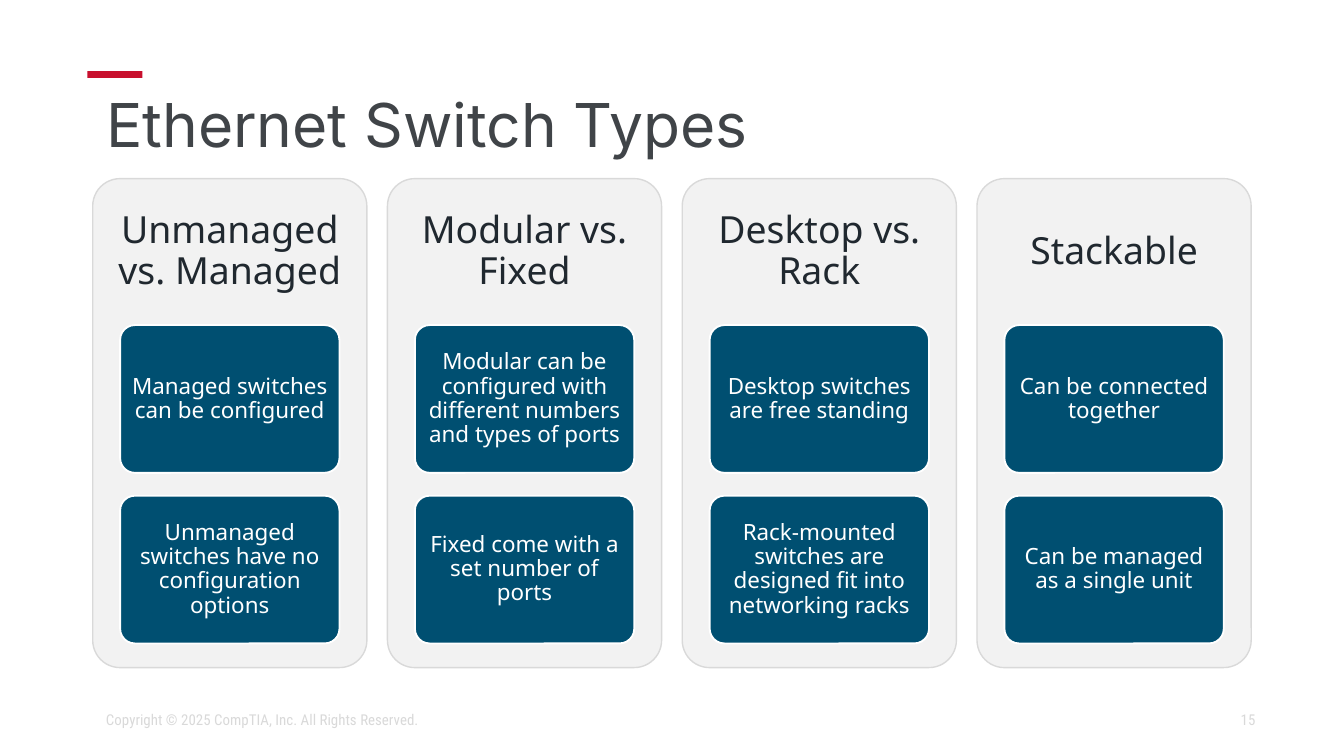
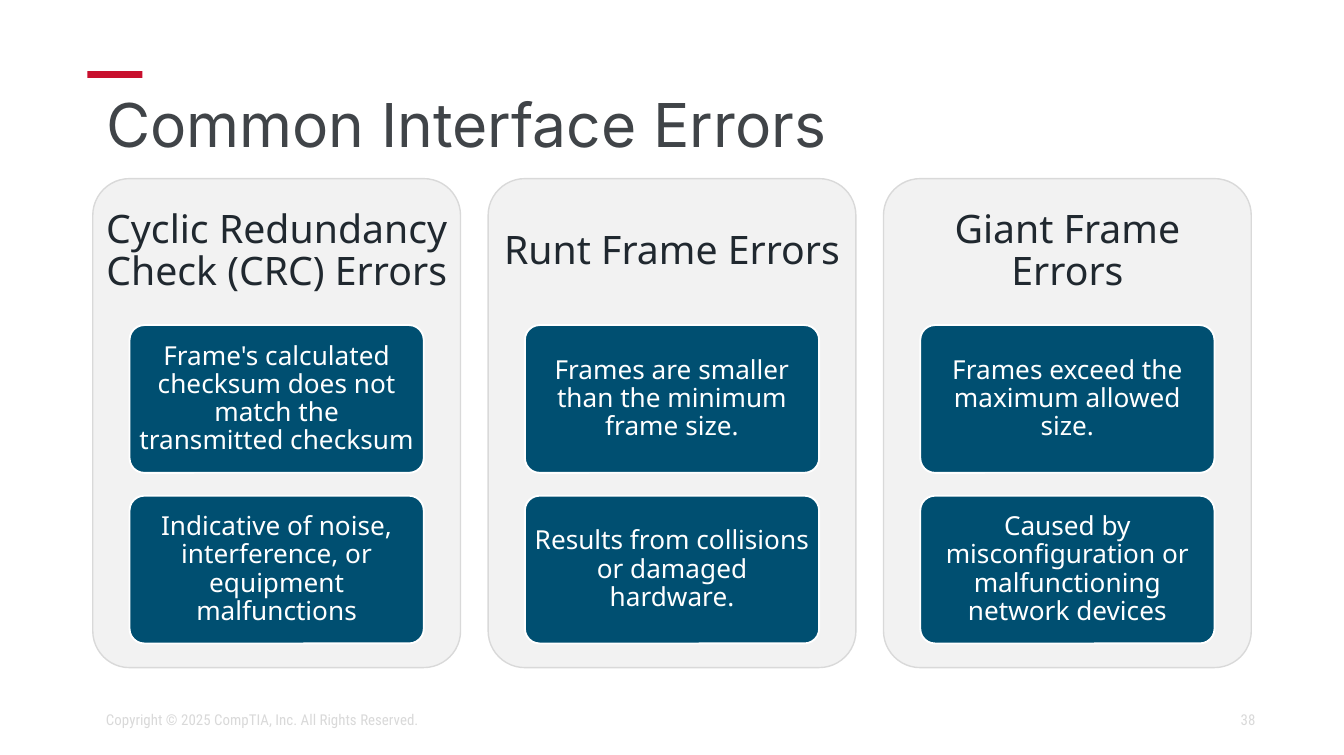
from dataclasses import dataclass

from pptx import Presentation
from pptx.dml.color import RGBColor
from pptx.enum.shapes import MSO_SHAPE
from pptx.enum.text import MSO_ANCHOR, MSO_AUTO_SIZE, PP_ALIGN
from pptx.shapes.autoshape import Shape
from pptx.slide import Slide
from pptx.util import Inches, Pt

RECTANGLE, ROUNDED = MSO_SHAPE.RECTANGLE, MSO_SHAPE.ROUNDED_RECTANGLE
LEFT, CENTER, RIGHT = PP_ALIGN.LEFT, PP_ALIGN.CENTER, PP_ALIGN.RIGHT
MIDDLE = MSO_ANCHOR.MIDDLE
NO_AUTOFIT = MSO_AUTO_SIZE.NONE

COLORS = {
    "accent": "C8102E",
    "title": "404448",
    "footer": "D9D9D9",
    "panel": "F2F2F2",
    "panel_line": "D9D9D9",
    "heading": "20282F",
    "card": "004F71",
    "white": "FFFFFF",
}
TITLE_FONT, BODY_FONT, FOOTER_FONT = "Inter", "Noto Sans", "Roboto Condensed"
COPYRIGHT = "Copyright © 2025 CompTIA, Inc. All Rights Reserved."
TITLE_ONLY = 5

# Lengths in inches
CONTENT_LEFT, CONTENT_WIDTH = 0.69, 8.62
PANEL_TOP, PANEL_HEIGHT, HEADING_HEIGHT = 1.33, 3.64, 1.09
CARD_TOP, CARD_HEIGHT, CARD_PITCH = 2.42, 1.1, 1.27
GAP_RATIO = 0.075  # gap between panels, as a share of panel width
CARD_RATIO = 0.8  # card width, as a share of panel width
CORNER = 0.1


@dataclass(frozen=True)
class Box:
    left: float
    top: float
    width: float
    height: float

    def lengths(self) -> tuple[Inches, Inches, Inches, Inches]:
        return (Inches(self.left), Inches(self.top),
                Inches(self.width), Inches(self.height))


@dataclass(frozen=True)
class TextStyle:
    font: str
    size: float
    color: str
    align: PP_ALIGN = LEFT
    line_spacing: float = 1.0
    inset_x: float = 0.1
    inset_y: float = 0.05


@dataclass(frozen=True)
class Topic:
    heading: str
    cards: tuple[str, ...]


@dataclass(frozen=True)
class TopicSlide:
    title: str
    number: int
    heading_style: TextStyle
    card_style: TextStyle
    topics: tuple[Topic, ...]


TITLE_STYLE = TextStyle(TITLE_FONT, 32.4, "title", line_spacing=0.9)
COPYRIGHT_STYLE = TextStyle(FOOTER_FONT, 8, "footer")
NUMBER_STYLE = TextStyle(FOOTER_FONT, 8, "footer", RIGHT)

SLIDES = (
    TopicSlide(
        "Ethernet Switch Types", 15,
        TextStyle(BODY_FONT, 20, "heading", CENTER, 0.9, 0.08, 0.08),
        TextStyle(BODY_FONT, 12, "white", CENTER, 0.9, 0.03, 0.03),
        (
            Topic("Unmanaged vs. Managed", (
                "Managed switches can be configured",
                "Unmanaged switches have no configuration options")),
            Topic("Modular vs. Fixed", (
                "Modular can be configured with different numbers and types of ports",
                "Fixed come with a set number of ports")),
            Topic("Desktop vs. Rack", (
                "Desktop switches are free standing",
                "Rack-mounted switches are designed fit into networking racks")),
            Topic("Stackable", (
                "Can be connected together",
                "Can be managed as a single unit")),
        ),
    ),
    TopicSlide(
        "Common Interface Errors", 38,
        TextStyle(BODY_FONT, 21, "heading", CENTER, 0.9, 0.09, 0.09),
        TextStyle(BODY_FONT, 14, "white", CENTER, 0.9, 0.04, 0.03),
        (
            Topic("Cyclic Redundancy Check (CRC) Errors", (
                "Frame's calculated checksum does not match the transmitted checksum",
                "Indicative of noise, interference, or equipment malfunctions")),
            Topic("Runt Frame Errors", (
                "Frames are smaller than the minimum frame size.",
                "Results from collisions or damaged hardware.")),
            Topic("Giant Frame Errors", (
                "Frames exceed the maximum allowed size.",
                "Caused by misconfiguration or malfunctioning network devices")),
        ),
    ),
)


def rgb(name: str) -> RGBColor:
    return RGBColor.from_string(COLORS[name])


def write(shape: Shape, text: str, style: TextStyle) -> None:
    frame = shape.text_frame
    frame.text = text
    frame.word_wrap = True
    frame.auto_size = NO_AUTOFIT
    frame.vertical_anchor = MIDDLE
    frame.margin_left = frame.margin_right = Inches(style.inset_x)
    frame.margin_top = frame.margin_bottom = Inches(style.inset_y)
    paragraph = frame.paragraphs[0]
    paragraph.alignment = style.align
    paragraph.line_spacing = style.line_spacing
    paragraph.font.name = style.font
    paragraph.font.size = Pt(style.size)
    paragraph.font.color.rgb = rgb(style.color)


def add_text(slide: Slide, box: Box, text: str, style: TextStyle) -> None:
    write(slide.shapes.add_textbox(*box.lengths()), text, style)


def add_filled(slide: Slide, kind: MSO_SHAPE, box: Box, fill: str) -> Shape:
    shape = slide.shapes.add_shape(kind, *box.lengths())
    shape.shadow.inherit = False
    shape.fill.solid()
    shape.fill.fore_color.rgb = rgb(fill)
    shape.line.fill.background()
    return shape


def add_rounded(slide: Slide, box: Box, fill: str, line: str, weight: float) -> Shape:
    shape = add_filled(slide, ROUNDED, box, fill)
    shape.adjustments[0] = CORNER
    shape.line.color.rgb = rgb(line)
    shape.line.width = Pt(weight)
    return shape


def add_frame(slide: Slide, content: TopicSlide) -> None:
    """Draw the accent bar, title and footer that all slides share."""
    add_filled(slide, RECTANGLE, Box(0.65, 0.53, 0.41, 0.05), "accent")
    title = slide.shapes.title
    title.left, title.top, title.width, title.height = Box(
        CONTENT_LEFT, 0.64, CONTENT_WIDTH, 0.63).lengths()
    write(title, content.title, TITLE_STYLE)
    add_text(slide, Box(7.06, 5.21, 2.38, 0.3), str(content.number), NUMBER_STYLE)
    add_text(slide, Box(CONTENT_LEFT, 5.21, 4.31, 0.3), COPYRIGHT, COPYRIGHT_STYLE)


def add_topics(slide: Slide, content: TopicSlide) -> None:
    count = len(content.topics)
    width = CONTENT_WIDTH / (count + GAP_RATIO * (count - 1))
    card_width = width * CARD_RATIO
    for column, topic in enumerate(content.topics):
        left = CONTENT_LEFT + column * width * (1 + GAP_RATIO)
        add_rounded(slide, Box(left, PANEL_TOP, width, PANEL_HEIGHT),
                    "panel", "panel_line", 0.75)
        add_text(slide, Box(left, PANEL_TOP, width, HEADING_HEIGHT),
                 topic.heading, content.heading_style)
        card_left = left + (width - card_width) / 2
        for row, text in enumerate(topic.cards):
            box = Box(card_left, CARD_TOP + row * CARD_PITCH, card_width, CARD_HEIGHT)
            card = add_rounded(slide, box, "card", "white", 1)
            write(card, text, content.card_style)


def main() -> None:
    deck = Presentation()
    deck.slide_width, deck.slide_height = Inches(10), Inches(5.62)
    for content in SLIDES:
        slide = deck.slides.add_slide(deck.slide_layouts[TITLE_ONLY])
        add_frame(slide, content)
        add_topics(slide, content)
    deck.save("out.pptx")


if __name__ == "__main__":
    main()
